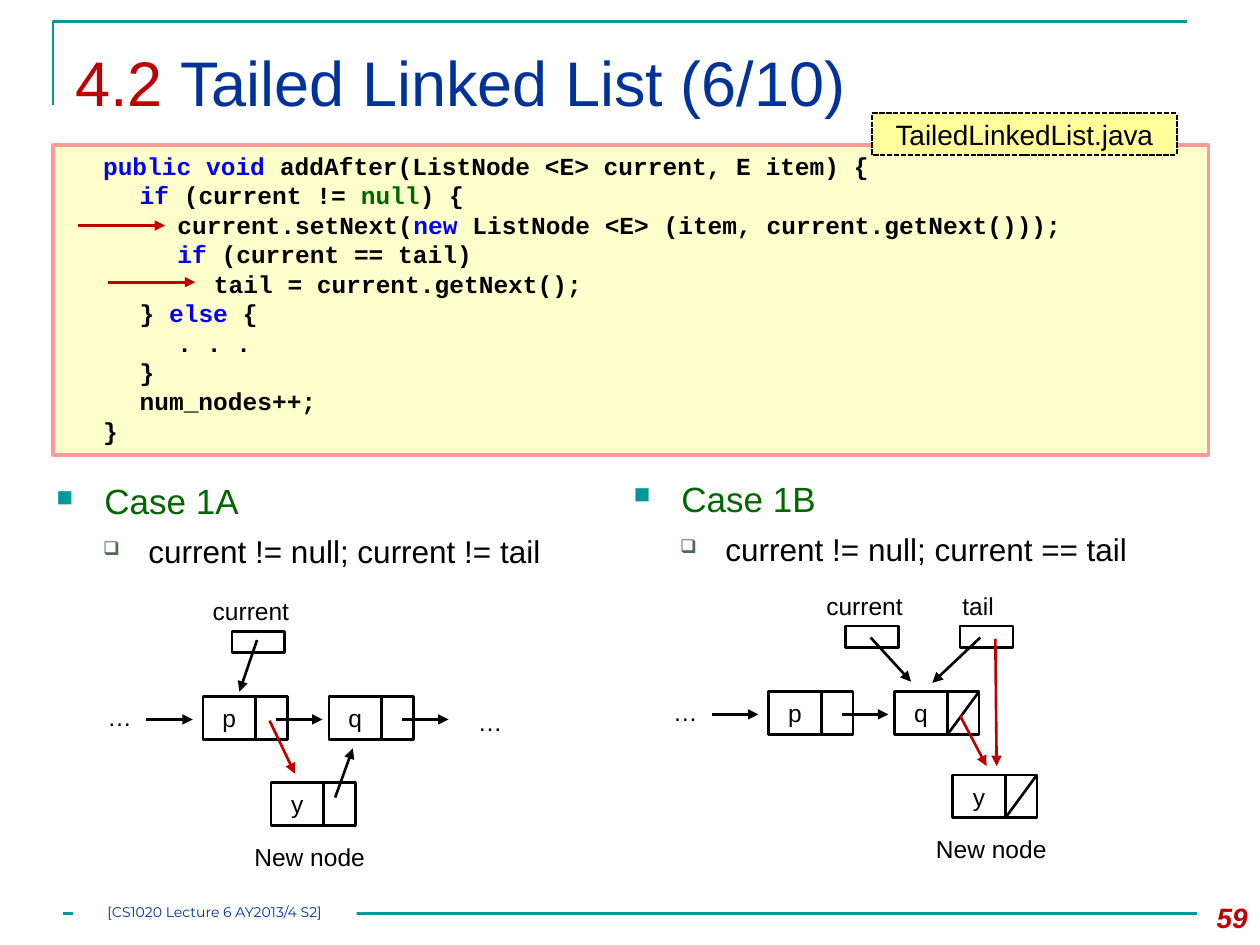
from lxml import etree
from pptx import Presentation
from pptx.dml.color import RGBColor
from pptx.enum import dml, shapes, text
from pptx.oxml import ns
from pptx.util import Inches, Pt

BLACK = RGBColor(0x00, 0x00, 0x00)
WHITE = RGBColor(0xFF, 0xFF, 0xFF)
TEAL = RGBColor(0x00, 0x99, 0x99)
NAVY = RGBColor(0x00, 0x33, 0x99)
RED = RGBColor(0xC0, 0x00, 0x00)
GREEN = RGBColor(0x00, 0x66, 0x00)
SAGE = RGBColor(0x4C, 0x6D, 0x4E)
KEYWORD_BLUE = RGBColor(0x00, 0x00, 0xFF)
CODE_FILL = RGBColor(0xFF, 0xFF, 0xCC)
CODE_EDGE = RGBColor(0xFF, 0x99, 0x99)
TAG_FILL = RGBColor(0xFF, 0xFF, 0x99)

LEFT, CENTER, RIGHT = text.PP_ALIGN.LEFT, text.PP_ALIGN.CENTER, text.PP_ALIGN.RIGHT
NODE_H, VALUE_W, NEXT_W = 0.34, 0.42, 0.25
CODE_TABS = [0.3, 0.59, 0.89, 1.18]

CODE = [
    [("\t", BLACK), ("public void ", KEYWORD_BLUE),
     ("addAfter(ListNode <E> current, E item) {", BLACK)],
    [("\t\t", BLACK), ("if ", KEYWORD_BLUE), ("(current != ", BLACK),
     ("null", GREEN), (") {", BLACK)],
    [("\t\t\tcurrent.setNext(", BLACK), ("new ", KEYWORD_BLUE),
     ("ListNode <E> (item, current.getNext()));", BLACK)],
    [("\t\t\t", BLACK), ("if", KEYWORD_BLUE), (" (current == tail)", BLACK)],
    [("\t\t\t\ttail = current.getNext();", BLACK)],
    [("\t\t} ", BLACK), ("else", KEYWORD_BLUE), (" {", BLACK)],
    [("\t\t\t. . .", BLACK)],
    [("\t\t}", BLACK)],
    [("\t\tnum_nodes++;", BLACK)],
    [("\t}", BLACK)],
]


def write(paragraph, runs, size=14, font="Arial", color=BLACK, bold=False,
          italic=False, align=LEFT):
    """Fill a paragraph with a string or a list of (string, colour) runs."""
    paragraph.alignment = align
    for words, run_color in [(runs, color)] if isinstance(runs, str) else runs:
        run = paragraph.add_run()
        run.text = words
        run.font.name, run.font.size = font, Pt(size)
        run.font.bold, run.font.italic = bold, italic
        run.font.color.rgb = run_color


def text_box(slide, x, y, w, h, runs=None, **style):
    box = slide.shapes.add_textbox(Inches(x), Inches(y), Inches(w), Inches(h))
    box.text_frame.word_wrap = True
    if runs:
        write(box.text_frame.paragraphs[0], runs, **style)
    return box.text_frame


def rect(slide, x, y, w, h, fill=None, edge=BLACK, width=1.5):
    shape = slide.shapes.add_shape(shapes.MSO_SHAPE.RECTANGLE, Inches(x), Inches(y),
                                   Inches(w), Inches(h))
    shape.shadow.inherit = False
    if fill is None:
        shape.fill.background()
    else:
        shape.fill.solid()
        shape.fill.fore_color.rgb = fill
    if edge is None:
        shape.line.fill.background()
    else:
        shape.line.color.rgb = edge
        shape.line.width = Pt(width)
    return shape


def line(slide, x1, y1, x2, y2, color=BLACK, arrow=True):
    connector = slide.shapes.add_connector(shapes.MSO_CONNECTOR.STRAIGHT, Inches(x1),
                                           Inches(y1), Inches(x2), Inches(y2))
    connector.line.color.rgb = color
    connector.line.width = Pt(1.5)
    if arrow:
        etree.SubElement(connector.line._get_or_add_ln(), ns.qn("a:tailEnd"), type="triangle")
    etree.SubElement(connector._element.spPr, ns.qn("a:effectLst"))


def add_bullet(paragraph, char, color, percent, margin, indent):
    props = paragraph._p.get_or_add_pPr()
    props.set("marL", str(Inches(margin)))
    props.set("indent", str(Inches(indent)))
    bullet_color = etree.SubElement(props, ns.qn("a:buClr"))
    etree.SubElement(bullet_color, ns.qn("a:srgbClr"), val=str(color))
    etree.SubElement(props, ns.qn("a:buSzPct"), val=str(percent * 1000))
    etree.SubElement(props, ns.qn("a:buChar"), char=char)


def add_tabs(paragraph, stops):
    tabs = etree.SubElement(paragraph._p.get_or_add_pPr(), ns.qn("a:tabLst"))
    for stop in stops:
        etree.SubElement(tabs, ns.qn("a:tab"), pos=str(Inches(stop)), algn="l")


def title_region(slide, x, y, w, h):
    # Corner rule
    corner = slide.shapes.build_freeform(Inches(x), Inches(y + h))
    corner.add_line_segments([(Inches(x), Inches(y)), (Inches(x + w), Inches(y))], close=False)
    rule = corner.convert_to_shape()
    rule.shadow.inherit = False
    rule.fill.background()
    rule.line.color.rgb = TEAL
    rule.line.width = Pt(1.5)
    # Heading
    text_box(slide, x + 0.08, y + 0.13, w, 0.76,
             [("4.2 ", RED), ("Tailed Linked List (6/10)", NAVY)], size=36)


def code_region(slide, x, y, w, h):
    frame = rect(slide, x, y, w, h, CODE_FILL, CODE_EDGE, 2).text_frame
    frame.vertical_anchor = text.MSO_ANCHOR.TOP
    frame.word_wrap = True
    for number, code_line in enumerate(CODE):
        paragraph = frame.add_paragraph() if number else frame.paragraphs[0]
        paragraph.line_spacing = Pt(16.8)
        add_tabs(paragraph, CODE_TABS)
        write(paragraph, code_line, font="Courier New", bold=True)
    # File name tag
    tag = rect(slide, x + 6.5, y - 0.25, 2.42, 0.33, TAG_FILL, BLACK, 1)
    tag.line.dash_style = dml.MSO_LINE.SQUARE_DOT
    write(tag.text_frame.paragraphs[0], "TailedLinkedList.java", size=16, align=CENTER)
    # Markers for the executed lines
    for dx, dy in [(0.2, 0.64), (0.44, 1.09)]:
        line(slide, x + dx, y + dy, x + dx + 0.69, y + dy, RED)


def case_heading(slide, x, y, name, condition):
    frame = text_box(slide, x, y, 4.4, 1.03)
    add_bullet(frame.paragraphs[0], "■", TEAL, 65, 0.38, -0.38)
    write(frame.paragraphs[0], name, size=20, color=GREEN)
    detail = frame.add_paragraph()
    detail.space_before = Pt(6)
    add_bullet(detail, "❑", SAGE, 60, 0.73, -0.36)
    write(detail, condition, size=18)


def node(slide, x, y, label, last=False):
    value = rect(slide, x, y, VALUE_W, NODE_H)
    write(value.text_frame.paragraphs[0], label, align=CENTER)
    rect(slide, x + VALUE_W, y, NEXT_W, NODE_H)
    if last:
        line(slide, x + VALUE_W, y + NODE_H, x + VALUE_W + NEXT_W, y, arrow=False)


def reference(slide, x, y, label, label_dx, label_w):
    text_box(slide, x + label_dx, y - 0.33, label_w, 0.34, label)
    rect(slide, x, y, 0.42, 0.17, WHITE)


def next_arrow(slide, x, y):
    line(slide, x, y, x + 0.37, y)


def list_diagram(slide, x, y, current_dx, new_dx, new_dy, at_tail):
    """Draw the parts both cases share, with node p at (x, y)."""
    middle = y + 0.18
    text_box(slide, x - 0.9, y - 0.01, 0.48, 0.34, "…", align=CENTER)
    node(slide, x, y, "p")
    node(slide, x + 1, y, "q", last=at_tail)
    for dx in (-0.45, 0.58):
        next_arrow(slide, x + dx, middle)
    reference(slide, x + current_dx, y - 0.52, "current", -0.25, 0.86)
    node(slide, x + new_dx, y + new_dy, "y", last=at_tail)
    text_box(slide, x + new_dx - 0.23, y + new_dy + 0.42, 1.11, 0.34, "New node")


def case_1a(slide, x, y):
    case_heading(slide, x, y, "Case 1A", "current != null; current != tail")
    px, py = x + 1.26, y + 1.77
    list_diagram(slide, px, py, 0.23, 0.54, 0.68, at_tail=False)
    next_arrow(slide, px + 1.58, py + 0.18)
    text_box(slide, px + 2.04, py + 0.03, 0.48, 0.34, "…", align=CENTER)
    line(slide, px + 0.43, py - 0.45, px + 0.29, py - 0.04)
    line(slide, px + 1.05, py + 0.8, px + 1.19, py + 0.41)
    line(slide, px + 0.53, py + 0.19, px + 0.73, py + 0.61, RED)


def case_1b(slide, x, y):
    case_heading(slide, x, y, "Case 1B", "current != null; current == tail")
    px, py = x + 1.17, y + 1.75
    list_diagram(slide, px, py, 0.61, 1.46, 0.66, at_tail=True)
    reference(slide, px + 1.52, py - 0.52, "tail", -0.08, 0.55)
    line(slide, px + 0.81, py - 0.43, px + 1.13, py - 0.08)
    line(slide, px + 1.68, py - 0.43, px + 1.3, py - 0.07)
    line(slide, px + 1.8, py - 0.42, px + 1.81, py + 0.59, RED)
    line(slide, px + 1.52, py + 0.19, px + 1.73, py + 0.59, RED)


def footer_region(slide, x, y, w):
    line(slide, x, y, x + w, y, TEAL, arrow=False)
    course = rect(slide, x + 0.08, y - 0.08, 2.25, 0.17, WHITE, None).text_frame
    course.margin_left = course.margin_right = course.margin_top = course.margin_bottom = 0
    course.vertical_anchor = text.MSO_ANCHOR.TOP
    write(course.paragraphs[0], "[CS1020 Lecture 6 AY2013/4 S2]", size=8,
          font="Montserrat", color=NAVY, align=CENTER)
    text_box(slide, x + 8.83, y - 0.15, 0.67, 0.4, "59", size=16, color=RED,
             bold=True, italic=True, align=RIGHT)


def main():
    deck = Presentation()
    deck.slide_width, deck.slide_height = Inches(10), Inches(7.5)
    slide = deck.slides.add_slide(deck.slide_layouts[6])
    title_region(slide, 0.42, 0.17, 9, 0.66)
    code_region(slide, 0.42, 1.15, 9.17, 2.46)
    case_1a(slide, 0.35, 3.76)
    case_1b(slide, 4.93, 3.74)
    footer_region(slide, 0.5, 7.25, 9)
    deck.save("out.pptx")


if __name__ == "__main__":
    main()
